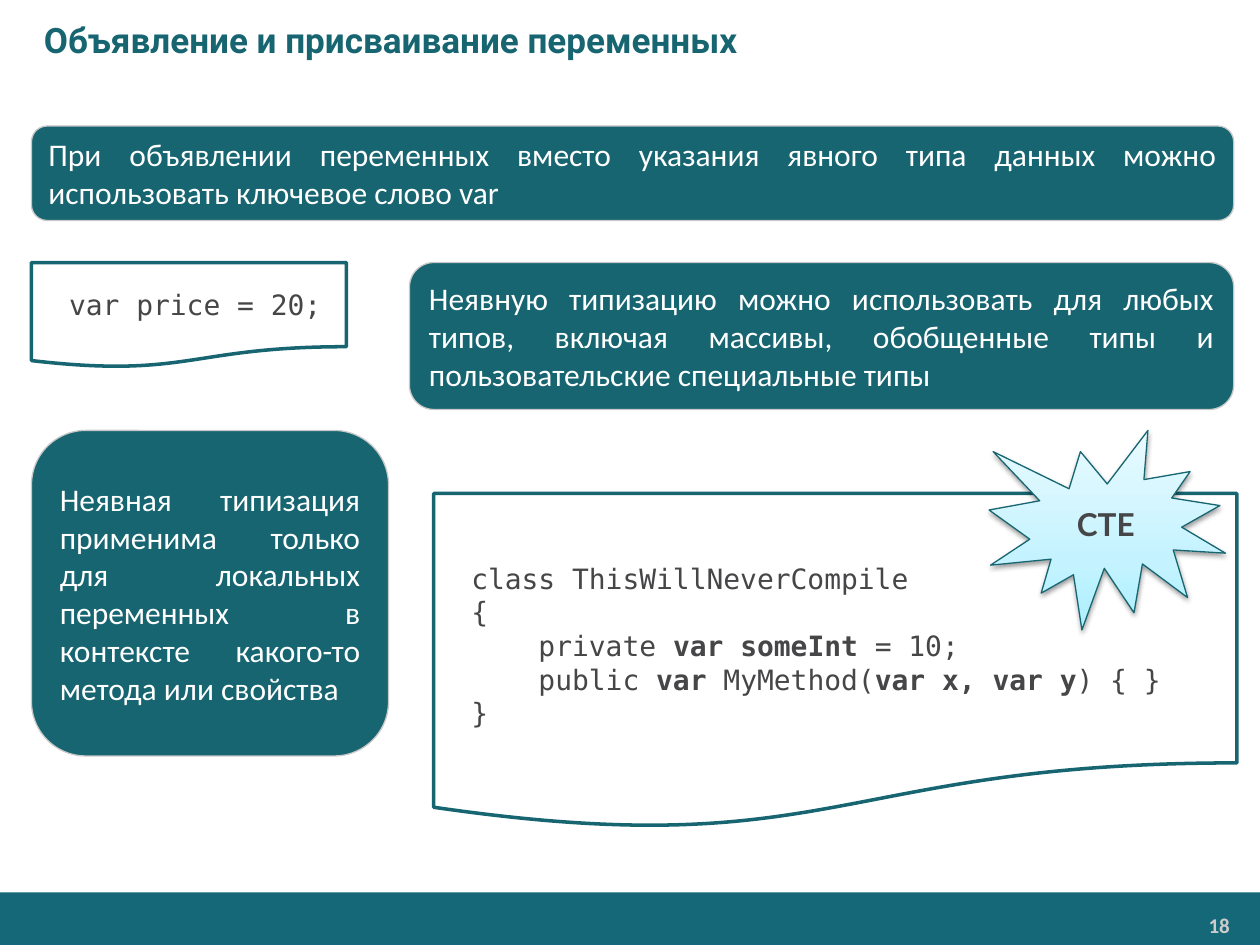
from lxml import etree
from pptx import Presentation
from pptx.dml.color import RGBColor
from pptx.enum.shapes import MSO_SHAPE as SHAPE
from pptx.enum.text import MSO_ANCHOR as ANCHOR, PP_ALIGN as ALIGN
from pptx.oxml import parse_xml
from pptx.util import Inches, Pt

TEAL, GRAY, DARK, WHITE = "176571", "C8C8C8", "464547", "FFFFFF"
MONO = "DejaVu Sans Mono"
NS = "http://schemas.openxmlformats.org/drawingml/2006/main"

prs = Presentation()
prs.slide_width, prs.slide_height = Inches(10), Inches(7.5)
s = prs.slides.add_slide(prs.slide_layouts[6])
unit = prs.slide_width / 120


def add_box(kind, col, row, cols, rows, fill=None, line=None, weight=0.75):
    area = [round(v * unit) for v in (col, row, cols, rows)]
    if kind is None:
        return s.shapes.add_textbox(*area)
    sp = s.shapes.add_shape(kind, *area)
    sp.shadow.inherit = False
    if fill:
        sp.fill.solid()
        sp.fill.fore_color.rgb = RGBColor.from_string(fill)
    if line:
        sp.line.color.rgb = RGBColor.from_string(line)
        sp.line.width = Pt(weight)
    else:
        sp.line.fill.background()
    return sp


def write(sp, lines, font="Calibri", size=18, color=WHITE, bold=False,
          align=ALIGN.LEFT, anchor=ANCHOR.MIDDLE, indent=0):
    tf = sp.text_frame
    tf.word_wrap = True
    tf.vertical_anchor = anchor
    for i, line in enumerate(lines):
        p = tf.add_paragraph() if i else tf.paragraphs[0]
        p.alignment = align
        pPr = p._p.get_or_add_pPr()
        pPr.set("marL", str(Inches(indent)))
        pPr.set("indent", "0")
        for j, text in enumerate(line.split("**")):
            if text:
                r = p.add_run()
                r.text = text
                r.font.name, r.font.size = font, Pt(size)
                r.font.bold = bold or j % 2 == 1
                r.font.color.rgb = RGBColor.from_string(color)
    return tf


add_box(SHAPE.RECTANGLE, 0, 85, 120, 5, "146878")
write(add_box(None, 98.8, 86.3, 19.5, 3.4), ["18"], size=12, color="CCCCCC",
      bold=True, align=ALIGN.RIGHT, anchor=ANCHOR.TOP)
write(add_box(None, 0, 0, 120, 7.5), ["Объявление и присваивание переменных"],
      font="Roboto", size=20, color=TEAL, bold=True, indent=0.25)

notes = [
    (3, 12, 114.5, 9, "При объявлении переменных вместо указания явного типа данных "
     "можно использовать ключевое слово var"),
    (39, 25, 78.5, 14, "Неявную типизацию можно использовать для любых типов, включая "
     "массивы, обобщенные типы и пользовательские специальные типы"),
    (3, 41, 34, 31, "Неявная типизация применима только для локальных переменных в "
     "контексте какого-то метода или свойства"),
]
for *area, text in notes:
    write(add_box(SHAPE.ROUNDED_RECTANGLE, *area, TEAL, GRAY), [text], align=ALIGN.JUSTIFY)

listings = [
    (3, 25, 30, 10, 0.05, ["var price = 20;"]),
    (41.3, 47, 76.5, 32, 0.32, [
        "class ThisWillNeverCompile",
        "{",
        "    private **var someInt **= 10;",
        "    public **var** MyMethod(**var x, var y**) { }",
        "}",
    ]),
]
for *area, top, code in listings:
    sp = add_box(SHAPE.FLOWCHART_DOCUMENT, *area, WHITE, TEAL, 2)
    write(sp, code, font=MONO, size=16, color=DARK, indent=0.2).margin_top = Inches(top)

seal = add_box(SHAPE.EXPLOSION1, 94.2, 41, 22.5, 19, line=TEAL)
write(seal, ["CTE"], font="Lato", color=DARK, bold=True, align=ALIGN.CENTER)
seal.fill.gradient()
seal.fill.gradient_angle = 90
spPr = seal._element.spPr
gsLst = spPr.find(f".//{{{NS}}}gsLst")
for stop in list(gsLst):
    gsLst.remove(stop)
for share, color in [(0, "ACEFFF"), (35, "C4F3FF"), (100, "E9FAFF")]:
    gs = etree.SubElement(gsLst, f"{{{NS}}}gs", pos=str(share * 1000))
    etree.SubElement(gs, f"{{{NS}}}srgbClr", val=color)
spPr.find(f"{{{NS}}}effectLst").append(parse_xml(
    f'<a:outerShdw xmlns:a="{NS}" blurRad="{Pt(3.1)}" dist="{Pt(1.6)}" dir="5400000" '
    'rotWithShape="0"><a:srgbClr val="000000"><a:alpha val="38000"/></a:srgbClr></a:outerShdw>'))

prs.save("out.pptx")
